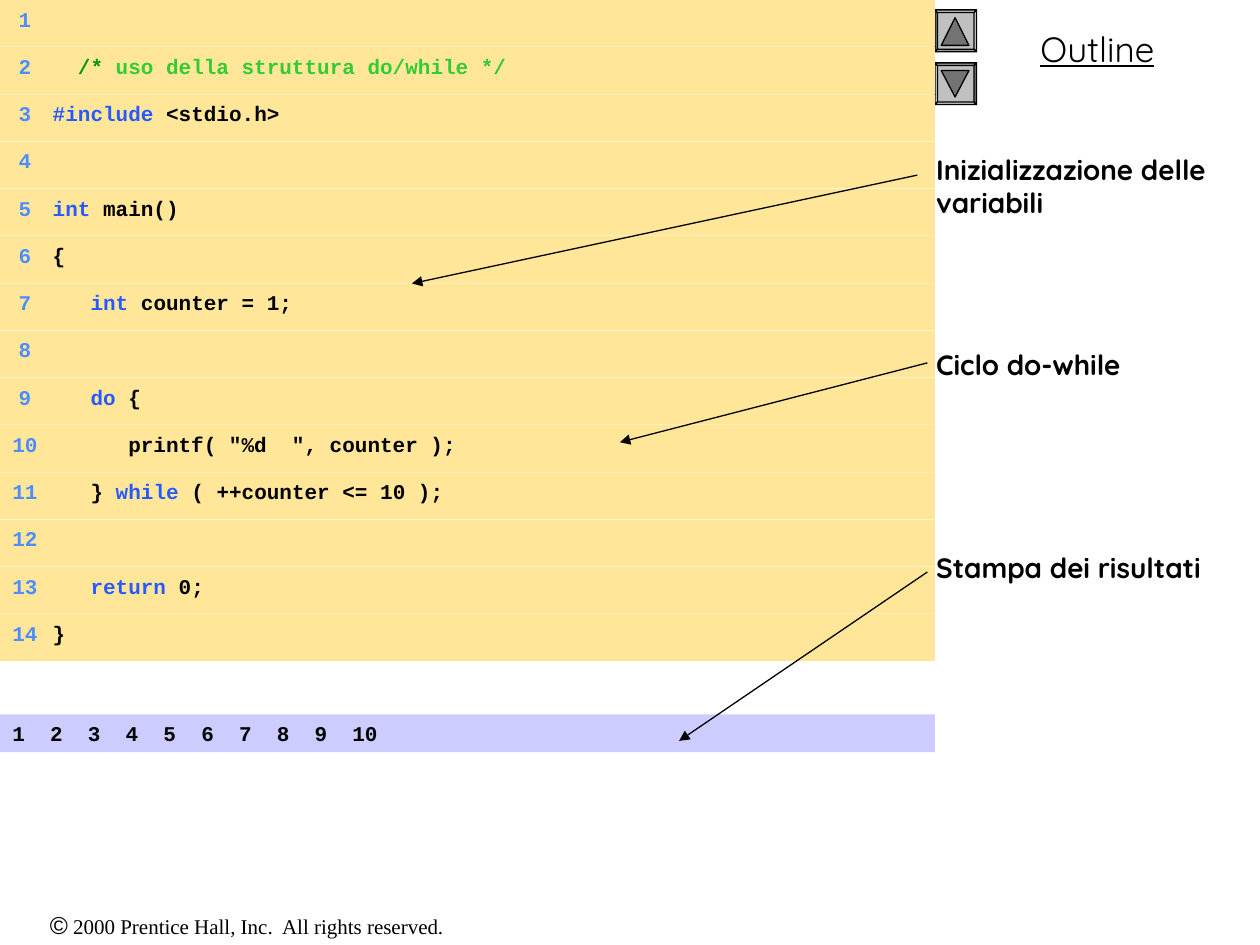
from lxml.etree import SubElement
from pptx import Presentation
from pptx.dml.color import RGBColor
from pptx.enum.shapes import MSO_CONNECTOR, MSO_SHAPE
from pptx.enum.text import MSO_ANCHOR, MSO_AUTO_SIZE, PP_ALIGN
from pptx.oxml.ns import qn
from pptx.util import Inches, Pt


def color(value):
    return RGBColor.from_string(value)


def add_text(p, text, font="Courier New", size=12, fill="000000", bold=False, underline=False):
    r = p.add_run()
    r.text = text
    r.font.name, r.font.size = font, Pt(size)
    r.font.bold, r.font.underline = bold, underline
    r.font.color.rgb = color(fill)


prs = Presentation()
prs.slide_width, prs.slide_height = Inches(10), Inches(7.5)
s = prs.slides.add_slide(prs.slide_layouts[0])

# Title, side notes and copyright line
title, notes = s.placeholders
footer = s.shapes.add_textbox(0, 0, 0, 0)
for sp, box, align in [
    (title, (7.42, 0.17, 2.58, 0.44), PP_ALIGN.CENTER),
    (notes, (7.33, 1.16, 2.67, 5.03), PP_ALIGN.LEFT),
    (footer, (0, 7.17, 3.92, 0.34), PP_ALIGN.CENTER),
]:
    sp.left, sp.top, sp.width, sp.height = [Inches(v) for v in box]
    tf = sp.text_frame
    tf.word_wrap, tf.auto_size = True, MSO_AUTO_SIZE.NONE
    tf.vertical_anchor = MSO_ANCHOR.TOP
    tf.paragraphs[0].alignment = align

add_text(title.text_frame.paragraphs[0], "Outline", font="Quicksand", size=20, underline=True)
p = footer.text_frame.paragraphs[0]
add_text(p, "©", font="Arial", size=14)
add_text(p, " 2000 Prentice Hall, Inc.  All rights reserved.", font="Times New Roman")

tf = notes.text_frame
for i, (note, gap) in enumerate([
    ("Inizializzazione delle variabili", 0),
    ("Ciclo do-while", 73.5),
    ("Stampa dei risultati", 97),
]):
    p = tf.add_paragraph() if i else tf.paragraphs[0]
    p.alignment = PP_ALIGN.LEFT
    p.line_spacing, p.space_before = Pt(19), Pt(gap)
    add_text(p, note, font="Quicksand", size=16, bold=True)

# Bevelled up and down buttons, corners listed clockwise from the arrow's top edge
SIDE, EDGE = 0.33, 0.02
outer = [(0, 0), (SIDE, 0), (SIDE, SIDE), (0, SIDE)]
inner = [(EDGE, EDGE), (SIDE - EDGE, EDGE), (SIDE - EDGE, SIDE - EDGE), (EDGE, SIDE - EDGE)]
for top, first_edge, arrow in [
    (0.08, 1, [(0.16, 0.06), (0.27, 0.28), (0.05, 0.28)]),
    (0.5, 3, [(0.16, 0.27), (0.05, 0.06), (0.27, 0.06)]),
]:
    parts = [(outer, "C0C0C0"), (arrow, "737373")]
    for i, shade in enumerate(["D9D9D9", "9A9A9A", "737373", "CDCDCD"]):
        a, b = (first_edge + i) % 4, (first_edge + i + 1) % 4
        parts.append(([outer[a], outer[b], inner[b], inner[a]], shade))
    for points, shade in parts:
        corners = [(Inches(7.42 + x), Inches(top + y)) for x, y in points]
        builder = s.shapes.build_freeform(*corners[0])
        builder.add_line_segments(corners[1:], close=True)
        sp = builder.convert_to_shape()
        sp.shadow.inherit = False
        sp.fill.solid()
        sp.fill.fore_color.rgb = color(shade)
        sp.line.color.rgb = color("000000")
        sp.line.width = Pt(0.75)

# Code listing, one bar per line, followed by the program output
NUMBER, KEYWORD, PLAIN = "4D8DFF", "275AFF", "000000"
code = [
    [],
    [("  /* ", "009900"), ("uso della struttura do/while */", "33CC33")],
    [("#include", KEYWORD), (" <stdio.h>", PLAIN)],
    [],
    [("int", KEYWORD), (" main()", PLAIN)],
    [("{", PLAIN)],
    [("   int", KEYWORD), (" counter = 1;", PLAIN)],
    [],
    [("   do", KEYWORD), (" {", PLAIN)],
    [('      printf( "%d  ", counter );', PLAIN)],
    [("   } ", PLAIN), ("while", KEYWORD), (" ( ++counter <= 10 );", PLAIN)],
    [],
    [("   return", KEYWORD), (" 0;", PLAIN)],
    [("}", PLAIN)],
]
bars = [(i * 0.375, 0.37, "FFE699", [(f"\t{i + 1}\t", NUMBER)] + line)
        for i, line in enumerate(code)]
bars.append((5.67, 0.3, "CCCCFF", [("1  2  3  4  5  6  7  8  9  10", PLAIN)]))
for top, height, fill, runs in bars:
    sp = s.shapes.add_shape(MSO_SHAPE.RECTANGLE, 0, Inches(top), Inches(7.42), Inches(height))
    sp.shadow.inherit = False
    sp.fill.solid()
    sp.fill.fore_color.rgb = color(fill)
    sp.line.fill.background()
    tf = sp.text_frame
    tf.word_wrap, tf.vertical_anchor = True, MSO_ANCHOR.TOP
    p = tf.paragraphs[0]
    p.alignment = PP_ALIGN.LEFT
    tabs = SubElement(p._p.get_or_add_pPr(), qn("a:tabLst"))
    for pos, side in [(0, "l"), (0.15, "r"), (0.32, "l")]:
        SubElement(tabs, qn("a:tab"), pos=str(Inches(pos)), algn=side)
    for text, shade in runs:
        add_text(p, text, fill=shade, bold=True)

# Arrows from the notes to the code
for ends in [(7.28, 1.39, 3.27, 2.25), (7.36, 2.88, 4.92, 3.51), (7.36, 4.54, 5.39, 5.88)]:
    line = s.shapes.add_connector(MSO_CONNECTOR.STRAIGHT, *[Inches(v) for v in ends])
    line.line.color.rgb = color("000000")
    line.line.width = Pt(0.75)
    SubElement(line.line._get_or_add_ln(), qn("a:tailEnd"), type="triangle")
    SubElement(line._element.spPr, qn("a:effectLst"))

prs.save("out.pptx")
